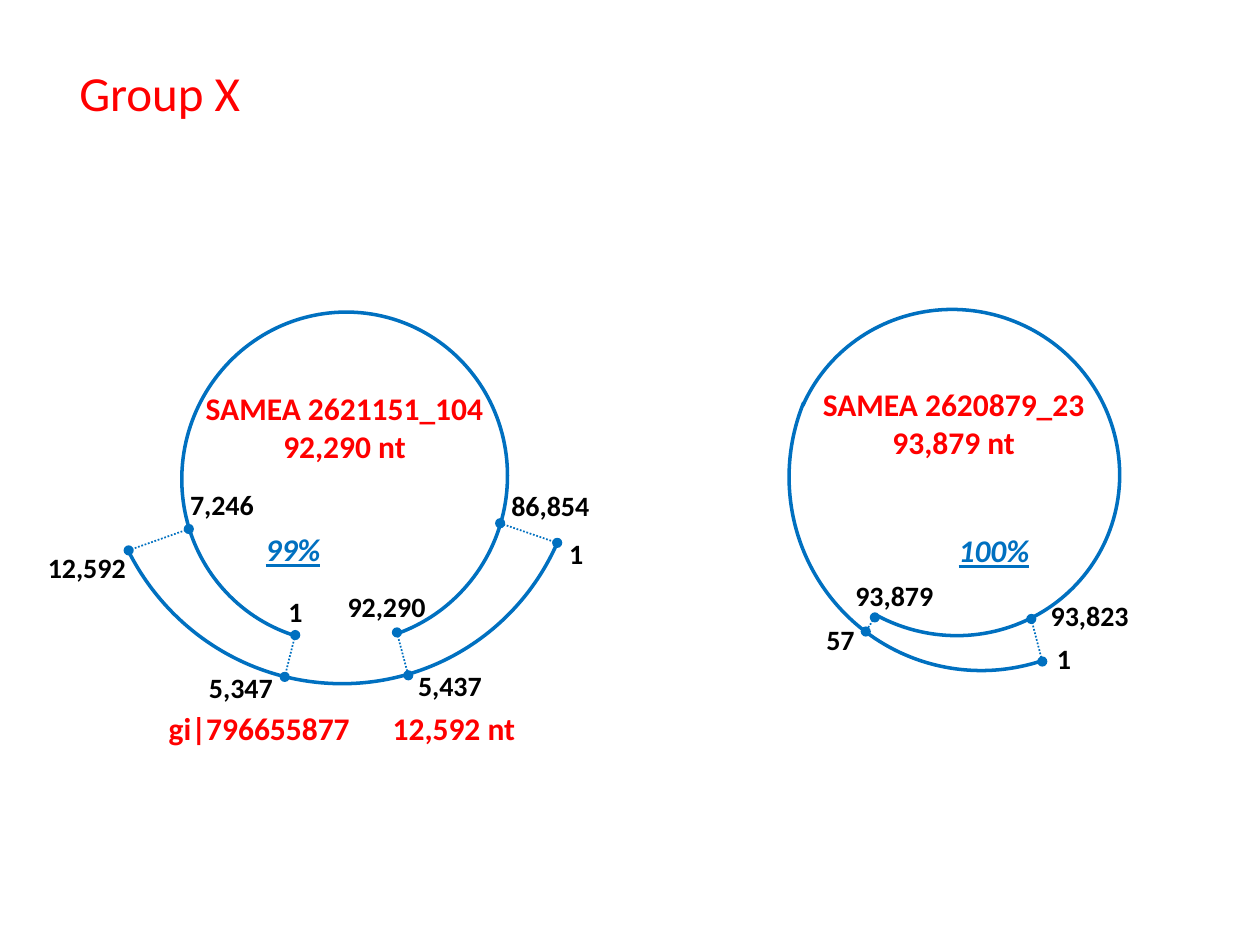
from dataclasses import dataclass

from lxml import etree
from pptx import Presentation
from pptx.dml.color import RGBColor
from pptx.enum.dml import MSO_LINE
from pptx.enum.shapes import MSO_CONNECTOR, MSO_SHAPE
from pptx.enum.text import MSO_AUTO_SIZE, PP_ALIGN
from pptx.oxml.ns import qn
from pptx.util import Pt

ARC, OVAL = MSO_SHAPE.ARC, MSO_SHAPE.OVAL
LINE, DOTS = MSO_CONNECTOR.STRAIGHT, MSO_LINE.ROUND_DOT
LEFT, MID = PP_ALIGN.LEFT, PP_ALIGN.CENTER
GROW = MSO_AUTO_SIZE.SHAPE_TO_FIT_TEXT


@dataclass(frozen=True)
class Theme:
    font: str = "Calibri"
    blue: RGBColor = RGBColor(0x00, 0x70, 0xC0)
    red: RGBColor = RGBColor(0xFF, 0x00, 0x00)
    black: RGBColor = RGBColor(0x00, 0x00, 0x00)
    head: float = 28
    name: float = 18
    mark: float = 16
    dot: float = 5.8
    thick: float = 2
    thin: float = 1


class Map:
    """Draws plasmid maps; the pen is the slide or the current group."""

    def __init__(self, slide, theme):
        self.slide, self.theme = slide, theme
        self.pen = slide.shapes

    def group(self):
        self.pen = self.slide.shapes.add_group_shape().shapes

    def close(self):
        self.pen = self.slide.shapes

    def text(self, box, text, size, color, bold=True, slant=False,
             align=LEFT, wrap=False, tab=None):
        shape = self.pen.add_textbox(*map(Pt, box))
        frame = shape.text_frame
        frame.word_wrap = wrap
        frame.auto_size = GROW
        frame.text = text
        for para in frame.paragraphs:
            para.alignment = align
            for run in para.runs:
                font = run.font
                font.name, font.size = self.theme.font, Pt(size)
                font.bold, font.italic, font.underline = bold, slant, slant
                font.color.rgb = color
            if tab:
                stops = etree.SubElement(para._p.get_or_add_pPr(), qn("a:tabLst"))
                etree.SubElement(stops, qn("a:tab"), pos=str(Pt(tab)), algn="l")

    def mark(self, x, y, text):
        """Label a base position; the box width follows the digit count."""
        commas = text.count(",")
        wide = 15 + 8.1 * (len(text) - commas) + 4.1 * commas
        self.text((x, y, wide, 26.6), text, self.theme.mark, self.theme.black)

    def name(self, x, y, wide, text):
        self.text((x, y, wide, 51.1), text, self.theme.name, self.theme.red,
                  align=MID)

    def match(self, x, y, wide, text):
        """Show the share of identity."""
        self.text((x, y, wide, 28.8), text, self.theme.name, self.theme.blue,
                  slant=True)

    def arc(self, box, turn, start, end):
        shape = self.pen.add_shape(ARC, *map(Pt, box))
        shape.shadow.inherit = False
        shape.rotation = turn
        shape.adjustments[0], shape.adjustments[1] = start, end
        shape._element.spPr.get_or_add_xfrm().set("flipH", "1")
        shape.fill.background()
        shape.line.color.rgb = self.theme.blue
        shape.line.width = Pt(self.theme.thick)

    def dot(self, x, y):
        size = self.theme.dot
        box = (x - size / 2, y - size / 2, size, size)
        shape = self.pen.add_shape(OVAL, *map(Pt, box))
        shape.shadow.inherit = False
        shape.fill.solid()
        shape.fill.fore_color.rgb = self.theme.blue
        shape.line.fill.background()

    def link(self, start, end):
        """Join two dots on neighbouring arcs by a dotted line."""
        self.dot(*start)
        self.dot(*end)
        line = self.pen.add_connector(LINE, *map(Pt, start + end))
        line.line.color.rgb = self.theme.blue
        line.line.width = Pt(self.theme.thin)
        line.line.dash_style = DOTS
        etree.SubElement(line._element.spPr, qn("a:effectLst"))

    def plasmid(self, arcs, links, marks, name, match):
        for arc in arcs:
            self.arc(*arc)
        for pair in links:
            self.link(*pair)
        for mark in marks:
            self.mark(*mark)
        self.match(*match)
        self.name(*name)


OUTER = (162.93, 24.9)
FIRST = dict(
    arcs=[((102.2, 180, 189.4, 185.8), 286.5, 20.59, 0),
          ((57.6, 118.8, 273.6, 270.7), 245.5, *OUTER)],
    links=[((226.8, 361.4), (233.3, 385.9)),
           ((168.7, 362.9), (162.7, 386.8)),
           ((285.8, 299), (318.4, 310.2)),
           ((107.9, 302.3), (73.5, 314.5))],
    marks=[(191.5, 333.4, "92,290"), (157.7, 336.2, "1"),
           (112.3, 379.4, "5,347"), (285.1, 275.8, "86,854"),
           (101.5, 275, "7,246"), (20.2, 311, "12,592"),
           (231.8, 378.7, "5,437"), (318.2, 303.1, "1")],
    name=(109.4, 218.9, 175, "SAMEA 2621151_104\n92,290 nt"),
    match=(144.7, 299.5, 46.1, "99%"),
)
SECOND = dict(
    arcs=[((450.7, 177.1, 189.4, 185.8), 23.8, 51.45, 0),
          ((450, 161.3, 223.2, 221), 293.8, *OUTER)],
    links=[((589.3, 353.7), (595.6, 378)),
           ((499.9, 352.8), (494.7, 360.9))],
    marks=[(593.3, 338.4, "93,823"), (481.7, 326.9, "93,879"),
           (465.1, 352.1, "57"), (596.9, 362.9, "1")],
    name=(462.2, 216.7, 165.6, "SAMEA 2620879_23\n93,879 nt"),
    match=(540.7, 300.2, 55.4, "100%"),
)


def main():
    deck = Presentation()
    deck.slide_width, deck.slide_height = Pt(720), Pt(540)
    theme = Theme()
    view = Map(deck.slides.add_slide(deck.slide_layouts[6]), theme)

    view.group()
    view.plasmid(**FIRST)
    view.text((89.3, 401.8, 225, 28.8), "gi|796655877\t12,592 nt",
              theme.name, theme.red, wrap=True, tab=128)
    view.close()
    view.text((38.2, 32.4, 159.1, 41), "Group X", theme.head, theme.red,
              bold=False, wrap=True)
    view.group()
    view.plasmid(**SECOND)

    deck.save("out.pptx")


if __name__ == "__main__":
    main()
